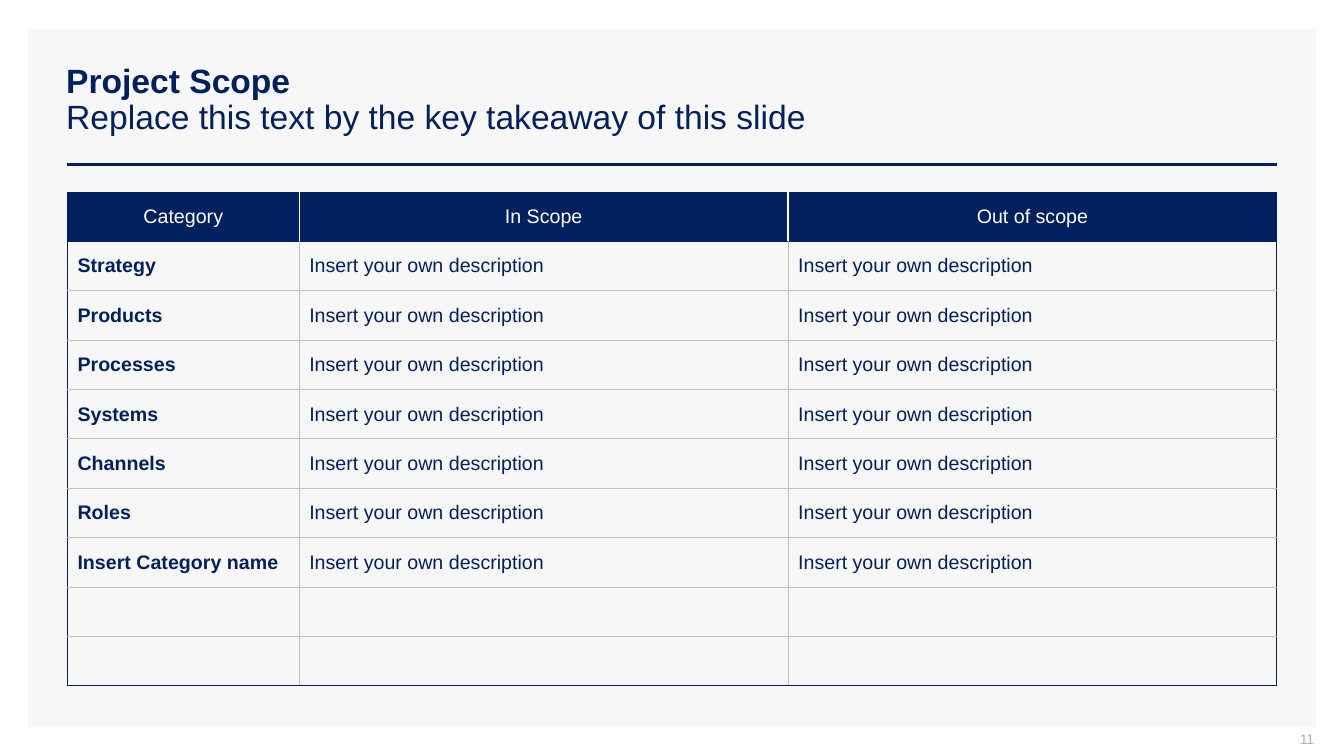
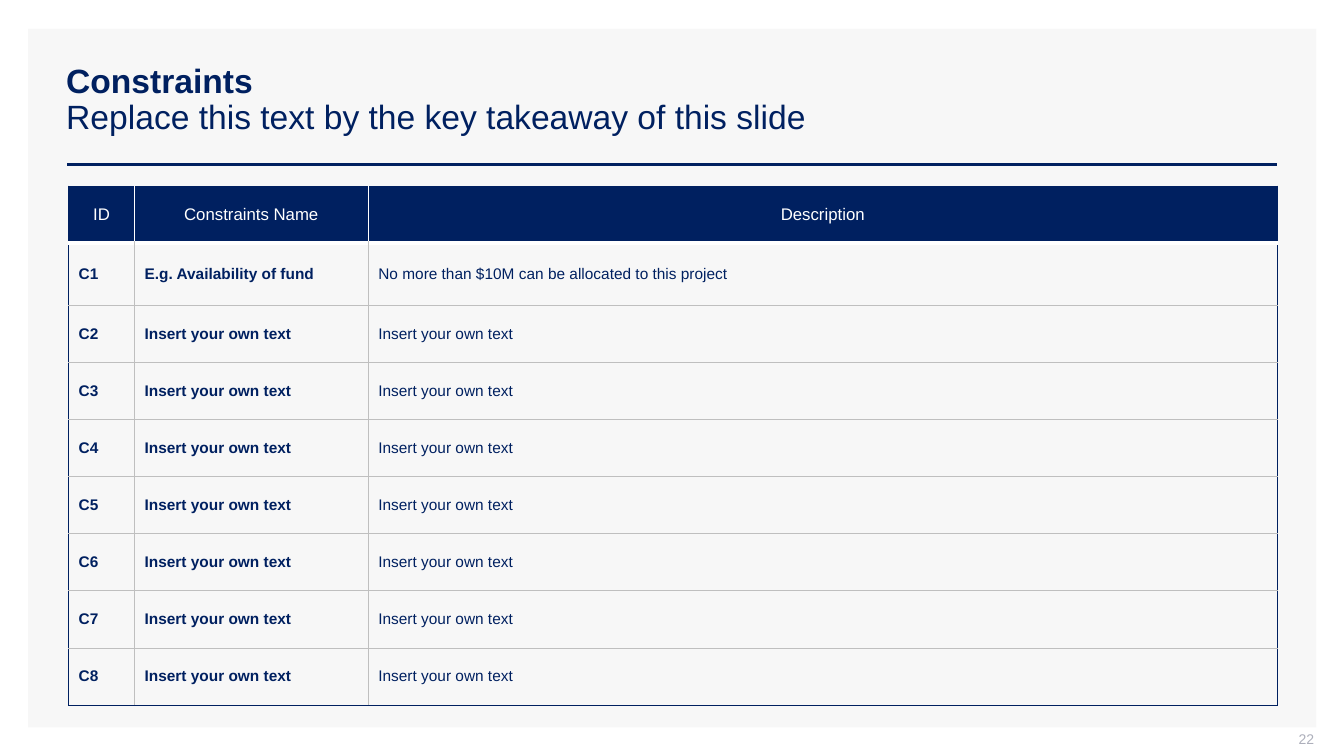
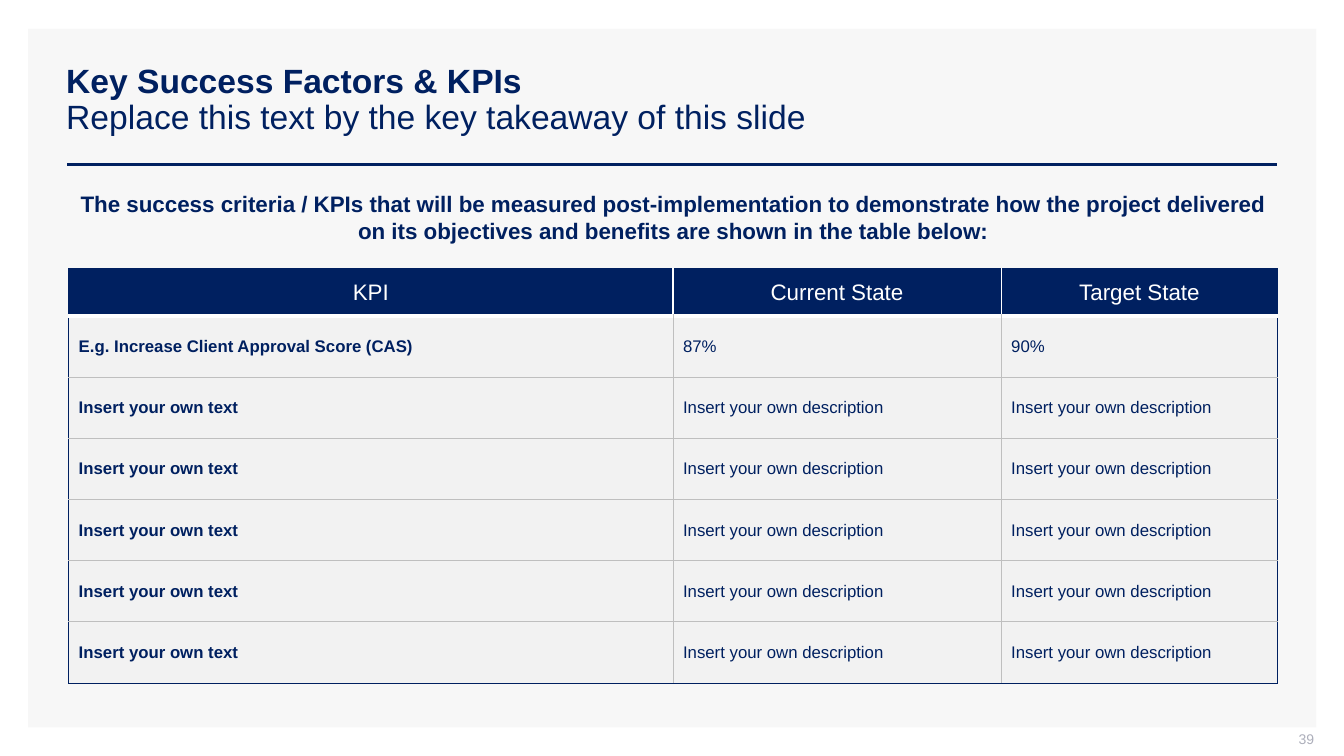
from lxml.etree import SubElement
from pptx import Presentation
from pptx.dml.color import RGBColor
from pptx.enum.shapes import MSO_CONNECTOR, MSO_SHAPE
from pptx.enum.text import MSO_ANCHOR, PP_ALIGN
from pptx.oxml.ns import qn
from pptx.util import Cm, Pt

FONT = "Arial"
NAVY = "002060"
WHITE = "FFFFFF"
PANEL_GREY = "F7F7F7"
CELL_GREY = "F2F2F2"
RULE_GREY = "BFBFBF"
NUMBER_GREY = "ADAFBB"

TAKEAWAY = "Replace this text by the key takeaway of this slide"
OWN_TEXT = "Insert your own text"
OWN_DESCRIPTION = "Insert your own description"

OUTER_EDGE = (NAVY, 0.75)
INNER_EDGE = (RULE_GREY, 0.75)


def colour(code):
    return RGBColor.from_string(code)


def write(para, text, size=12, color=NAVY, bold=False, align=PP_ALIGN.LEFT):
    para.alignment = align
    span = para.add_run()
    span.text = text
    span.font.name = FONT
    span.font.size = Pt(size)
    span.font.bold = bold
    span.font.color.rgb = colour(color)


def add_box(page, left, top, width, height, anchor=MSO_ANCHOR.TOP):
    """Add a wrapping text box and return its text frame."""
    box = page.shapes.add_textbox(Cm(left), Cm(top), Cm(width), Cm(height))
    frame = box.text_frame
    frame.word_wrap = True
    frame.vertical_anchor = anchor
    return frame


def add_panel(page):
    panel = page.shapes.add_shape(
        MSO_SHAPE.RECTANGLE, Cm(0.71), Cm(0.73), Cm(32.46), Cm(17.6))
    panel.shadow.inherit = False
    panel.fill.solid()
    panel.fill.fore_color.rgb = colour(PANEL_GREY)
    panel.line.fill.background()


def add_title_rule(page):
    rule = page.shapes.add_connector(
        MSO_CONNECTOR.STRAIGHT, Cm(1.69), Cm(4.14), Cm(32.18), Cm(4.14))
    rule.line.color.rgb = colour(NAVY)
    rule.line.width = Pt(2)
    SubElement(rule._element.spPr, qn("a:effectLst"))


def add_title(page, title):
    frame = add_box(page, 1.42, 1.02, 30.76, 3.02, MSO_ANCHOR.MIDDLE)
    para = frame.paragraphs[0]
    para.line_spacing = 0.9
    write(para, title, size=24, bold=True)
    para.add_line_break()
    write(para, TAKEAWAY, size=24)


def add_page_number(page, number):
    frame = add_box(page, 25.5, 18.42, 7.62, 0.53, MSO_ANCHOR.MIDDLE)
    frame.margin_top = frame.margin_right = 0
    frame.margin_bottom = Cm(0.13)
    write(frame.paragraphs[0], str(number), size=10, color=NUMBER_GREY,
          align=PP_ALIGN.RIGHT)


def add_page(deck, title, number):
    page = deck.slides.add_slide(deck.slide_layouts[6])
    add_panel(page)
    add_title_rule(page)
    add_title(page, title)
    add_page_number(page, number)
    return page


def set_borders(cell, left, right, top, bottom):
    """Draw the four edges, each given as (colour, points)."""
    properties = cell._tc.get_or_add_tcPr()
    edges = {"a:lnL": left, "a:lnR": right, "a:lnT": top, "a:lnB": bottom}
    for tag, (color, points) in edges.items():
        line = SubElement(properties, qn(tag), w=str(Pt(points)))
        fill = SubElement(line, qn("a:solidFill"))
        SubElement(fill, qn("a:srgbClr"), val=color)


def fill_cell(cell, color):
    if color:
        cell.fill.solid()
        cell.fill.fore_color.rgb = colour(color)
    else:
        cell.fill.background()


def add_grid(page, left, top, widths, heights, rows, header_size, body_size,
             bold_columns=1, body_fill=None, divider=(WHITE, 1),
             header_bottom=(WHITE, 3), body_top=(WHITE, 1)):
    """Add a table whose first row is a navy header."""
    grid = page.shapes.add_table(
        len(rows), len(widths), Cm(left), Cm(top),
        Cm(sum(widths)), Cm(sum(heights))).table
    grid.first_row = grid.horz_banding = False
    for column, width in zip(grid.columns, widths):
        column.width = Cm(width)
    for row, height in zip(grid.rows, heights):
        row.height = Cm(height)

    last_row, last_column = len(rows) - 1, len(widths) - 1
    for r, texts in enumerate(rows):
        header = r == 0
        side = divider if header else INNER_EDGE
        upper = {0: OUTER_EDGE, 1: body_top}.get(r, INNER_EDGE)
        lower = {0: header_bottom, last_row: OUTER_EDGE}.get(r, INNER_EDGE)
        for c, text in enumerate(texts):
            cell = grid.cell(r, c)
            cell.vertical_anchor = MSO_ANCHOR.MIDDLE
            set_borders(cell,
                        OUTER_EDGE if c == 0 else side,
                        OUTER_EDGE if c == last_column else side,
                        upper, lower)
            fill_cell(cell, NAVY if header else body_fill)
            para = cell.text_frame.paragraphs[0]
            if header:
                write(para, text, size=header_size, color=WHITE,
                      align=PP_ALIGN.CENTER)
            elif text:
                write(para, text, size=body_size, bold=c < bold_columns)


def add_scope_page(deck):
    page = add_page(deck, "Project Scope", 11)
    categories = ["Strategy", "Products", "Processes", "Systems", "Channels",
                  "Roles", "Insert Category name"]
    rows = [["Category", "In Scope", "Out of scope"]]
    rows += [[name, OWN_DESCRIPTION, OWN_DESCRIPTION] for name in categories]
    rows += [["", "", ""]] * 2
    add_grid(page, 1.7, 4.84, [5.84, 12.32, 12.32],
             [12.45 / len(rows)] * len(rows), rows,
             header_size=14, body_size=14,
             header_bottom=OUTER_EDGE, body_top=OUTER_EDGE)


def add_constraints_page(deck):
    page = add_page(deck, "Constraints", 22)
    rows = [["ID", "Constraints Name", "Description"],
            ["C1", "E.g. Availability of fund",
             "No more than $10M can be allocated to this project"]]
    rows += [[f"C{number}", OWN_TEXT, OWN_TEXT] for number in range(2, 9)]
    add_grid(page, 1.73, 4.69, [1.66, 5.89, 22.91],
             [1.44, 1.56] + [1.44] * 7, rows,
             header_size=12, body_size=11, bold_columns=2,
             divider=(WHITE, 0.75))


def add_kpi_page(deck):
    page = add_page(deck, "Key Success Factors & KPIs", 39)
    intro = add_box(page, 1.73, 4.67, 30.48, 1.63)
    write(intro.paragraphs[0],
          "The success criteria / KPIs that will be measured "
          "post-implementation to demonstrate how the project delivered on "
          "its objectives and benefits are shown in the table below:",
          size=16, bold=True, align=PP_ALIGN.CENTER)
    rows = [["KPI", "Current State", "Target State"],
            ["E.g. Increase Client Approval Score (CAS)", "87%", "90%"]]
    rows += [[OWN_TEXT, OWN_DESCRIPTION, OWN_DESCRIPTION]] * 5
    add_grid(page, 1.73, 6.77, [15.23, 8.27, 6.97], [1.2] + [1.54] * 6, rows,
             header_size=16, body_size=12, body_fill=CELL_GREY)


def main():
    deck = Presentation()
    deck.slide_width, deck.slide_height = Cm(33.87), Cm(19.05)
    add_scope_page(deck)
    add_constraints_page(deck)
    add_kpi_page(deck)
    deck.save("out.pptx")


if __name__ == "__main__":
    main()
